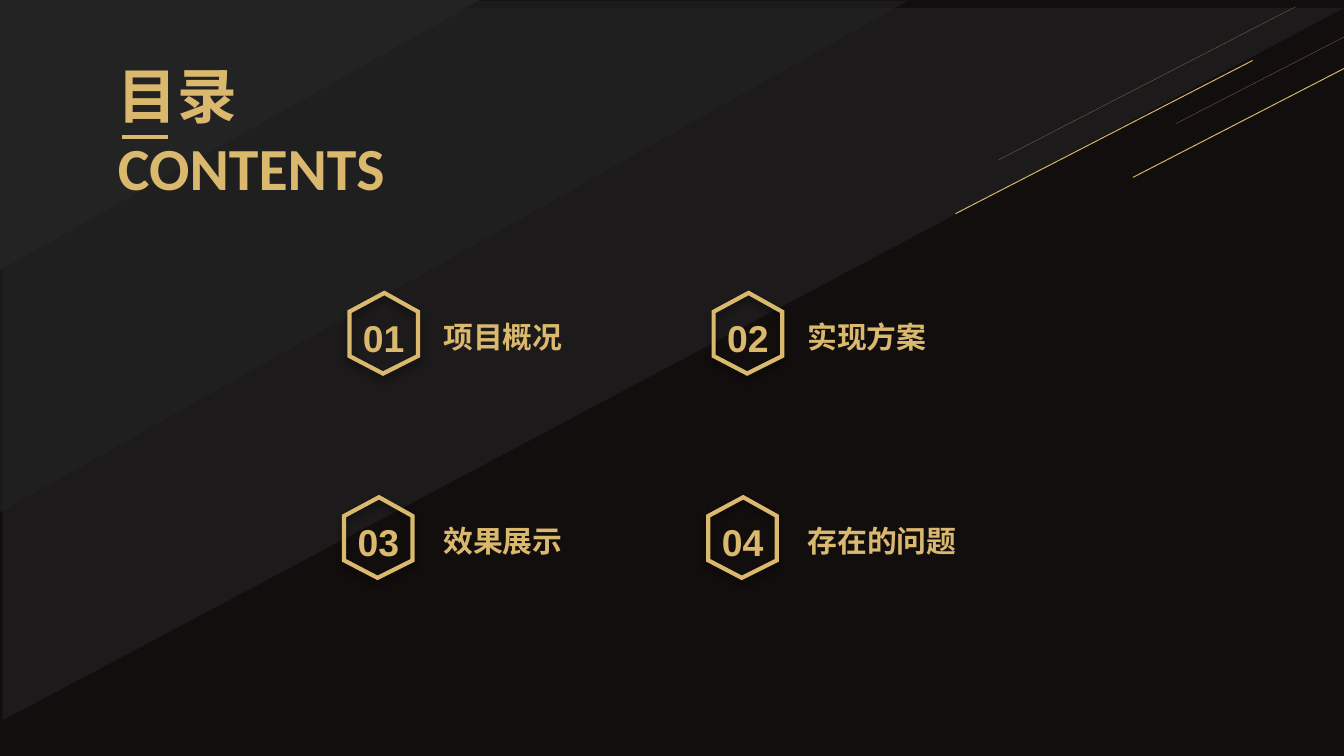
from dataclasses import dataclass

from lxml import etree
from pptx import Presentation
from pptx.dml.color import RGBColor
from pptx.enum.shapes import MSO_CONNECTOR, MSO_SHAPE
from pptx.enum.text import MSO_ANCHOR, MSO_AUTO_SIZE, PP_ALIGN
from pptx.oxml.ns import qn
from pptx.util import Pt

STRAIGHT = MSO_CONNECTOR.STRAIGHT
RIGHT_TRIANGLE = MSO_SHAPE.RIGHT_TRIANGLE
TOP, MIDDLE = MSO_ANCHOR.TOP, MSO_ANCHOR.MIDDLE
LEFT, CENTER = PP_ALIGN.LEFT, PP_ALIGN.CENTER
GROW = MSO_AUTO_SIZE.SHAPE_TO_FIT_TEXT

EMU_PER_PX = 9144
SLIDE_WIDTH = 1000 * EMU_PER_PX
SLIDE_HEIGHT = SLIDE_WIDTH * 9 // 16
COLORS = {"background": "120E0D", "panel": "232323", "gold": "DAB96E", "shadow": "000000"}
HEXAGON = [(26, 0), (51, 14), (51, 47), (25, 60), (0, 47), (0, 14)]
COLUMN_STEP, ROW_STEP, ROW_SHIFT = 271, 152, -4


@dataclass
class Panel:
    left: int
    top: int
    width: int
    height: int
    opacity: int


@dataclass
class Line:
    x: int
    y: int
    dx: int
    dy: int
    weight: float
    opacity: int = 100


@dataclass
class Topic:
    number: str
    label: str
    label_width: int


PANELS = [
    Panel(236, -228, 530, 998, 60),
    Panel(147, -147, 381, 676, 60),
    Panel(78, -78, 201, 357, 100),
]
TITLE_RULE = Line(91, 102, 34, 0, 2.25)
RAYS = [
    Line(x + dx, y + dy, 221, -114, weight, opacity)
    for x, y in [(711, 159), (843, 132)]
    for dx, dy, weight, opacity in [(0, 0, 0.5, 100), (32, -40, 0.25, 40)]
]
TOPICS = [
    Topic("01", "项目概况", 110),
    Topic("02", "实现方案", 110),
    Topic("03", "效果展示", 110),
    Topic("04", "存在的问题", 132),
]


def px(*lengths: int) -> list[int]:
    """Turn pixel lengths into EMU."""
    return [length * EMU_PER_PX for length in lengths]


def color(name: str) -> RGBColor:
    """Look up a named colour."""
    return RGBColor.from_string(COLORS[name])


def set_opacity(element, percent: int) -> None:
    """Give the first colour inside an element an opacity."""
    if percent < 100:
        alpha = etree.SubElement(element.find(".//" + qn("a:srgbClr")), qn("a:alpha"))
        alpha.set("val", str(percent * 1000))


def add_text(shapes, text: str, box: tuple[int, int, int, int], *, font: str, size: int,
             align=LEFT, anchor=MIDDLE, wrap: bool = False) -> None:
    """Add a bold gold text box."""
    frame = shapes.add_textbox(*px(*box)).text_frame
    frame.word_wrap = wrap
    frame.auto_size = GROW
    frame.vertical_anchor = anchor
    paragraph = frame.paragraphs[0]
    paragraph.alignment = align
    run = paragraph.add_run()
    run.text = text
    run.font.name, run.font.size, run.font.bold = font, Pt(size), True
    run.font.color.rgb = color("gold")
    east_asian = etree.SubElement(run.font._element, qn("a:ea"))
    east_asian.set("typeface", font)


def add_panel(shapes, panel: Panel) -> None:
    """Add a triangle whose right angle points to the top left."""
    box = px(panel.left, panel.top, panel.width, panel.height)
    shape = shapes.add_shape(RIGHT_TRIANGLE, *box)
    shape.rotation = 90
    shape.fill.solid()
    shape.fill.fore_color.rgb = color("panel")
    set_opacity(shape._element.spPr, panel.opacity)
    shape.line.fill.background()
    shape.shadow.inherit = False


def add_line(shapes, line: Line) -> None:
    """Add a straight gold line without a shadow."""
    ends = px(line.x, line.y, line.x + line.dx, line.y + line.dy)
    connector = shapes.add_connector(STRAIGHT, *ends)
    connector.line.color.rgb = color("gold")
    connector.line.width = Pt(line.weight)
    properties = connector._element.spPr
    set_opacity(properties, line.opacity)
    etree.SubElement(properties, qn("a:effectLst"))


def add_hexagon(shapes, left: int, top: int) -> None:
    """Add a sharp-cornered hexagon outline with a soft shadow below it."""
    points = [(left + x, top + y) for x, y in HEXAGON]
    builder = shapes.build_freeform(*points[0], scale=EMU_PER_PX)
    builder.add_line_segments(points[1:], close=True)
    shape = builder.convert_to_shape()
    shape.fill.background()
    shape.line.color.rgb = color("gold")
    shape.line.width = Pt(2.25)
    shape.shadow.inherit = False
    properties = shape._element.spPr
    etree.SubElement(properties.find(qn("a:ln")), qn("a:miter"), lim="800000")
    shadow = etree.SubElement(properties.find(qn("a:effectLst")), qn("a:outerShdw"),
                              blurRad=str(Pt(4)), dist=str(Pt(3)), dir="5400000",
                              rotWithShape="0")
    etree.SubElement(shadow, qn("a:srgbClr"), val=COLORS["shadow"])
    set_opacity(shadow, 40)


def add_topic(shapes, topic: Topic, index: int) -> None:
    """Add a numbered hexagon and its label at a place in the grid."""
    row, column = divmod(index, 2)
    left = 260 + column * COLUMN_STEP + row * ROW_SHIFT
    top = 218 + row * ROW_STEP
    label_box = (320 + column * COLUMN_STEP, top + 14, topic.label_width, 37)
    add_text(shapes, topic.label, label_box, font="Noto Sans CJK SC", size=16)
    badge = shapes.add_group_shape()
    add_hexagon(badge.shapes, left, top)
    add_text(badge.shapes, topic.number, (left, top + 11, 51, 44),
             font="Arial", size=20, align=CENTER)


def main() -> None:
    """Build the contents slide and save it."""
    presentation = Presentation()
    presentation.slide_width = SLIDE_WIDTH
    presentation.slide_height = SLIDE_HEIGHT
    slide = presentation.slides.add_slide(presentation.slide_layouts[6])
    slide.background.fill.solid()
    slide.background.fill.fore_color.rgb = color("background")
    for panel in PANELS:
        add_panel(slide.shapes, panel)
    add_text(slide.shapes, "目录CONTENTS", (78, 39, 274, 118),
             font="Calibri", size=32, anchor=TOP, wrap=True)
    add_line(slide.shapes, TITLE_RULE)
    for index, topic in enumerate(TOPICS):
        add_topic(slide.shapes, topic, index)
    for ray in RAYS:
        add_line(slide.shapes, ray)
    presentation.save("out.pptx")


if __name__ == "__main__":
    main()
